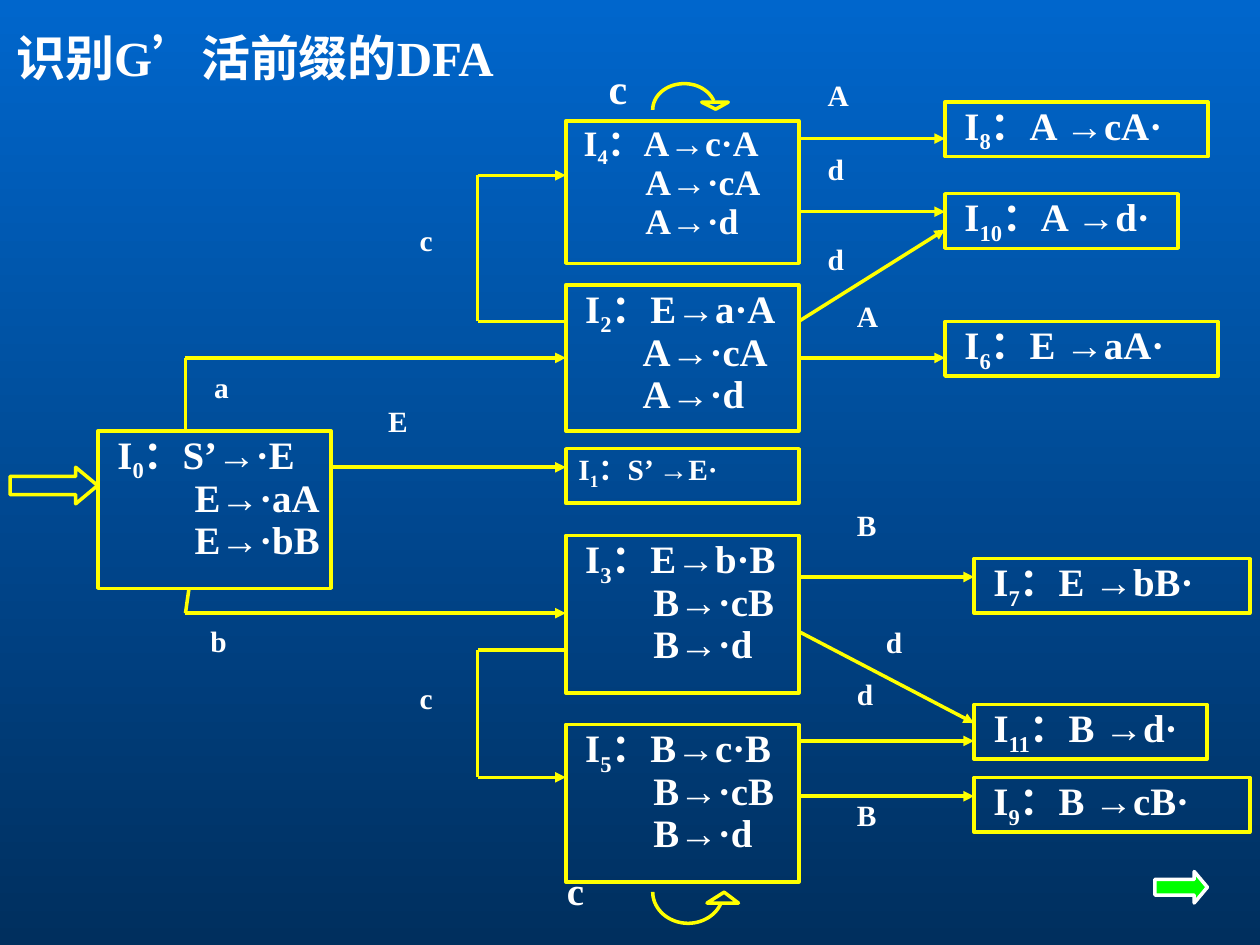
import math
from dataclasses import dataclass

import lxml.etree
import pptx
import pptx.dml.color
import pptx.enum.shapes
import pptx.enum.text
import pptx.oxml.ns
import pptx.util

Pt = pptx.util.Pt
Kind = pptx.enum.shapes.MSO_SHAPE
Align = pptx.enum.text.PP_ALIGN
WHITE, YELLOW, GREEN = "FFFFFF", "FFFF00", "00FF00"
LEFT, RIGHT = 323.3, 456.5          # sides of the middle column
EAST, FAR = 540, 556.6              # left sides of the final states
WIDE, LOW = 133.2, 31.2             # usual state width, one-line height


@dataclass
class State:
    num: str
    x: float
    y: float
    w: float
    h: float
    items: list[str]
    dent: float = 0
    size: float = 22.2
    first: float = 11.1
    space: float = 0.9
    top: float = 0


@dataclass
class Label:
    text: str
    x: float
    y: float
    size: float = 16.8
    space: float = 0.8
    h: float = 20.9


@dataclass
class Wire:
    dots: list[tuple[float, float]]


@dataclass
class Loop:
    x: float
    y: float
    rx: float
    ry: float                       # negative bends upward
    head: list[tuple[float, float]]


STATES = [
    State("0", 56, 246.2, WIDE, 90, ["S’→·E", "E→·aA", "E→·bB"], 55.2),
    State("4", LEFT, 69.1, WIDE, 81.4, ["A→c·A", "A→·cA", "A→·d"], 45.5, 20.4, 10.2),
    State("2", LEFT, 162.8, WIDE, 83.5, ["E→a·A", "A→·cA", "A→·d"], 44),
    State("3", LEFT, 306, WIDE, 90, ["E→b·B", "B→·cB", "B→·d"], 50),
    State("5", LEFT, 414, WIDE, 90, ["B→c·B", "B→·cB", "B→·d"], 50),
    State("1", LEFT, 256.4, WIDE, LOW, ["S’ →E·"], 0, 16.8, 7.2, 0.8, 3.6),
    State("8", EAST, 58.2, 150.3, LOW, ["A →cA·"]),
    State("10", EAST, 110.7, WIDE, LOW, ["A →d·"]),
    State("6", EAST, 183.7, 156.2, LOW, ["E →aA·"]),
    State("7", FAR, 319.2, 157.6, LOW, ["E →bB·"]),
    State("11", FAR, 402.6, WIDE, LOW, ["B →d·"]),
    State("9", FAR, 444.3, 157.6, LOW, ["B →cB·"]),
]
WIRES = [
    Wire([(189.4, 267), (LEFT, 267)]),
    Wire([(106, 246.2), (106, 204.5), (LEFT, 204.5)]),
    Wire([(LEFT, 183.6), (273, 183.6), (273, 100.2), (LEFT, 100.2)]),
    Wire([(RIGHT, 79.2), (EAST, 79.2)]),
    Wire([(RIGHT, 121), (EAST, 121)]),
    Wire([(RIGHT, 204.5), (EAST, 204.5)]),
    Wire([(RIGHT, 183.6), (EAST, 131.2)]),
    Wire([(108, 336.2), (106, 350.4), (LEFT, 350.4)]),
    Wire([(RIGHT, 329.7), (FAR, 329.7)]),
    Wire([(LEFT, 371.3), (273, 371.3), (273, 444.2), (LEFT, 444.2)]),
    Wire([(RIGHT, 360.9), (FAR, 413.2)]),
    Wire([(RIGHT, 423.4), (FAR, 423.4)]),
    Wire([(RIGHT, 455), (FAR, 455)]),
]
LABELS = [
    Label("b", 120.2, 360), Label("a", 122.4, 214.6), Label("E", 221.8, 234),
    Label("c", 239.8, 392.4), Label("c", 239.8, 131), Label("B", 489.6, 459.4),
    Label("d", 489.6, 390.2), Label("d", 506.2, 360.7), Label("B", 489.6, 293.8),
    Label("A", 489.6, 174.2), Label("d", 473, 141.8), Label("d", 473, 90),
    Label("A", 473, 48.2), Label("c", 324, 498.2, 22.2, 0.9, 26.6),
    Label("c", 347.8, 36, 24, 1, 36),
]
LOOPS = [
    Loop(391, 62.8, 18, -15, [(401, 58.4), (416.2, 58.4), (409, 62.4)]),
    Loop(393.2, 509.6, 20.2, 18, [(404, 516), (422, 516), (413.8, 509.8)]),
]


def paint(fmt, code: str) -> None:
    """Colour a fill, a line or a font."""
    fill = fmt if hasattr(fmt, "solid") else fmt.fill
    fill.solid()
    fill.fore_color.rgb = pptx.dml.color.RGBColor.from_string(code)


def style(shape, line: str = YELLOW, fill: str = "") -> None:
    shape.shadow.inherit = False
    if fill:
        paint(shape.fill, fill)
    else:
        shape.fill.background()
    paint(shape.line, line)
    shape.line.width = Pt(2)


def frame(shape, x: float = 0, y: float = 0):
    look = {"margin_left": Pt(x), "margin_right": Pt(x), "margin_top": Pt(y),
            "margin_bottom": Pt(y), "word_wrap": True,
            "vertical_anchor": pptx.enum.text.MSO_ANCHOR.TOP}
    for key, val in look.items():
        setattr(shape.text_frame, key, val)
    return shape.text_frame


def write(para, text: str, size: float, sub: bool = False) -> None:
    run = para.add_run()
    run.text = text
    for key, val in {"name": "Times New Roman", "size": Pt(size), "bold": True}.items():
        setattr(run.font, key, val)
    paint(run.font, WHITE)
    if sub:
        run.font._element.set("baseline", "-25000")


def block(page, kind, x: float, y: float, w: float, h: float):
    return page.shapes.add_shape(kind, Pt(x), Pt(y), Pt(w), Pt(h))


def draw_state(page, st: State) -> None:
    box = block(page, Kind.RECTANGLE, st.x, st.y, st.w, st.h)
    style(box)
    text = frame(box, 0, st.top)
    for n, item in enumerate(st.items):
        para = text.add_paragraph() if n else text.paragraphs[0]
        para.alignment, para.line_spacing = Align.JUSTIFY, st.space
        para._p.get_or_add_pPr().set("marL", str(Pt(st.dent if n else st.first)))
        if n == 0:
            write(para, "I", st.size)
            write(para, st.num, st.size, True)
            item = "：" + item
        write(para, item, st.size)


def draw_label(page, lab: Label) -> None:
    box = page.shapes.add_textbox(Pt(lab.x), Pt(lab.y), Pt(17), Pt(lab.h))
    para = frame(box).paragraphs[0]
    para.alignment, para.line_spacing = Align.JUSTIFY, lab.space
    write(para, lab.text, lab.size)


def draw_wire(page, wire: Wire) -> None:
    qn = pptx.oxml.ns.qn
    for a, b in zip(wire.dots, wire.dots[1:]):
        line = page.shapes.add_connector(
            pptx.enum.shapes.MSO_CONNECTOR.STRAIGHT, *map(Pt, a + b))
        paint(line.line, YELLOW)
        line.line.width = Pt(2)
        lxml.etree.SubElement(line._element.spPr, qn("a:effectLst"))
    # the last part carries the arrowhead
    lxml.etree.SubElement(line.line._get_or_add_ln(), qn("a:tailEnd"), type="triangle")


def outline(page, dots: list[tuple[float, float]], close: bool) -> None:
    ends = [(Pt(x), Pt(y)) for x, y in dots]
    form = page.shapes.build_freeform(*ends[0])
    form.add_line_segments(ends[1:], close=close)
    style(form.convert_to_shape())


def draw_loop(page, loop: Loop) -> None:
    turns = [math.radians(d) for d in range(180, 19, -5)]
    outline(page, [(loop.x + loop.rx * math.cos(t), loop.y + loop.ry * math.sin(t))
                   for t in turns], False)
    outline(page, loop.head, True)


def main() -> None:
    deck = pptx.Presentation()
    deck.slide_width, deck.slide_height = Pt(720), Pt(540)
    page = deck.slides.add_slide(deck.slide_layouts[6])

    # Background
    back = page.background.fill
    back.gradient()
    back.gradient_angle = 270
    for stop, pos, code in zip(back.gradient_stops, (0, 1), ("0066CC", "002F5E")):
        stop.position = pos
        stop.color.rgb = pptx.dml.color.RGBColor.from_string(code)

    # Title
    title = page.shapes.add_textbox(Pt(2.2), Pt(12.2), Pt(287.3), Pt(41))
    write(frame(title, 7.2, 3.6).paragraphs[0], "识别G’活前缀的DFA", 28)

    # Automaton
    for draw, parts in ((draw_state, STATES), (draw_wire, WIRES),
                        (draw_label, LABELS), (draw_loop, LOOPS)):
        for part in parts:
            draw(page, part)

    # Block arrows: start state and next page
    start = block(page, Kind.RIGHT_ARROW, 5.8, 267, 50, 20.9)
    start.adjustments[1] = 0.6
    style(start)
    onward = block(page, Kind.RIGHT_ARROW, 660, 498, 30, 18)
    onward.adjustments[1] = 0.42
    style(onward, WHITE, GREEN)

    deck.save("out.pptx")


if __name__ == "__main__":
    main()
